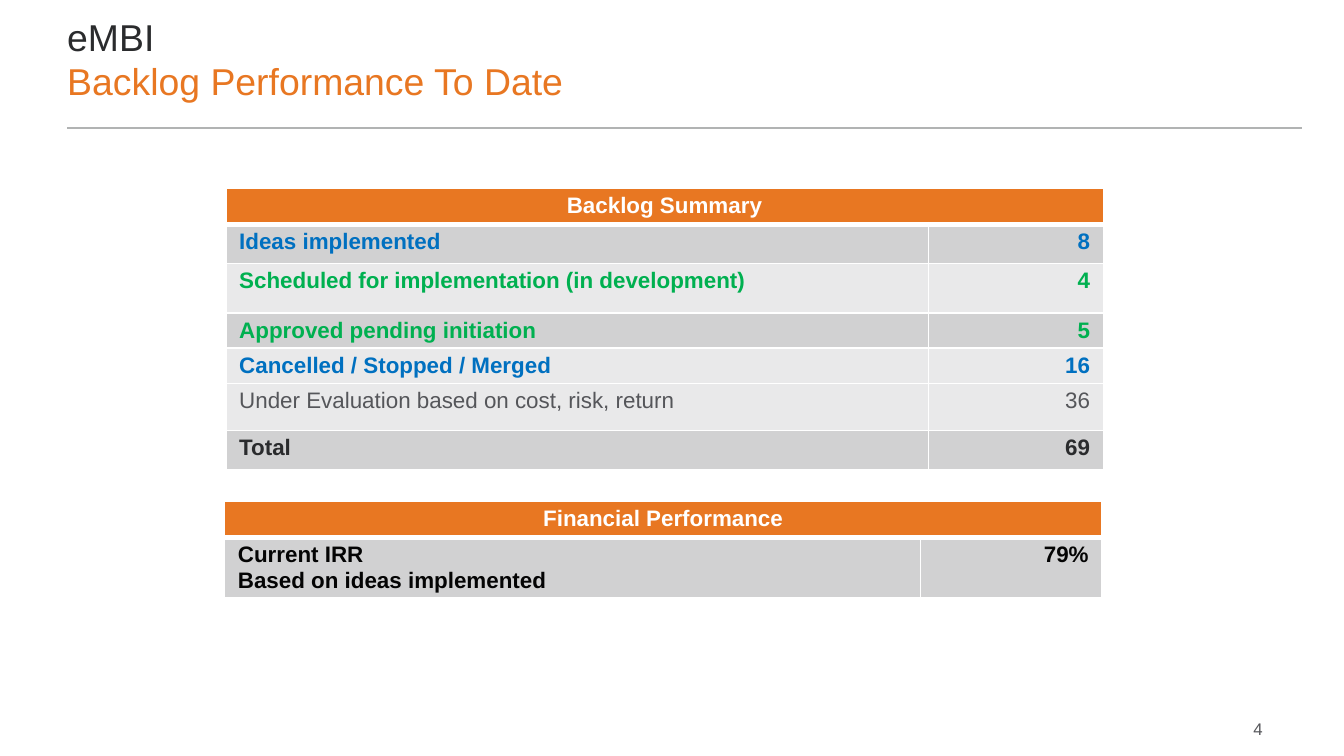
import lxml.etree
import pptx
import pptx.dml.color
import pptx.enum.shapes
import pptx.enum.text
import pptx.oxml.ns
import pptx.util

Inches = pptx.util.Inches
Align = pptx.enum.text.PP_ALIGN
Anchor = pptx.enum.text.MSO_ANCHOR

THEME = {
    "font": "Arial",
    "sizes": {"title": 20, "table": 12, "number": 9},
    "colors": {
        "white": "FFFFFF", "orange": "E87722", "dark": "2A2B2D", "gray": "55565A",
        "rule": "B1B3B3", "blue": "0070C0", "green": "00B050", "black": "040404",
        "band": "D1D1D2", "light": "E9E9EA",
    },
}

SLIDE_WIDTH = Inches(10)
SLIDE_HEIGHT = SLIDE_WIDTH * 9 // 16

TITLE_LINES = [("eMBI", "dark"), ("Backlog Performance To Date", "orange")]
PAGE_NUMBER = "4"

TABLES = [
    {
        "header": "Backlog Summary",
        "box": (1.68, 1.4, 6.53, 2.12),
        "value_width": 1.3,
        "heights": [0.27, 0.29, 0.37, 0.24, 0.24, 0.35, 0.29],
        "rows": [
            ("Ideas implemented", "8", "blue", True, "band"),
            ("Scheduled for implementation (in development)", "4", "green", True, "light"),
            ("Approved pending initiation", "5", "green", True, "band"),
            ("Cancelled / Stopped / Merged", "16", "blue", True, "light"),
            ("Under Evaluation based on cost, risk, return", "36", "gray", False, "light"),
            ("Total", "69", "dark", True, "band"),
        ],
    },
    {
        "header": "Financial Performance",
        "box": (1.67, 3.73, 6.53, 0.75),
        "value_width": 1.35,
        "heights": [0.27, 0.29],
        "rows": [("Current IRR\nBased on ideas implemented", "79%", "black", True, "band")],
    },
]


def color(name):
    return pptx.dml.color.RGBColor.from_string(THEME["colors"][name])


def set_values(target, values):
    for name, value in values.items():
        setattr(target, name, value)


def format_font(font, size, color_name, bold=False):
    set_values(font, {"name": THEME["font"], "bold": bold,
                      "size": pptx.util.Pt(THEME["sizes"][size])})
    font.color.rgb = color(color_name)


def set_margins(target, horizontal, vertical):
    set_values(target, {"margin_left": horizontal, "margin_right": horizontal,
                        "margin_top": vertical, "margin_bottom": vertical})


def add_borders(cell, widths):
    properties = cell._tc.get_or_add_tcPr()
    for tag, width in widths.items():
        line = lxml.etree.SubElement(properties, pptx.oxml.ns.qn(f"a:{tag}"),
                                     w=str(pptx.util.Pt(width)))
        fill = lxml.etree.SubElement(line, pptx.oxml.ns.qn("a:solidFill"))
        lxml.etree.SubElement(fill, pptx.oxml.ns.qn("a:srgbClr"), val=THEME["colors"]["white"])


def fill_cell(cell, row, text, alignment, color_name, bold, fill):
    add_borders(cell, {"lnL": 1, "lnR": 1, "lnT": 3 if row == 1 else 1,
                       "lnB": 3 if row == 0 else 1})
    cell.fill.solid()
    cell.fill.fore_color.rgb = color(fill)
    set_margins(cell, Inches(0.1), pptx.util.Pt(2.7))
    cell.text = text
    for paragraph in cell.text_frame.paragraphs:
        paragraph.alignment = alignment
        for run in paragraph.runs:
            format_font(run.font, "table", color_name, bold)


def add_summary_table(slide, data):
    table = slide.shapes.add_table(len(data["heights"]), 2, *map(Inches, data["box"])).table
    table.columns[0].width = Inches(data["box"][2] - data["value_width"])
    table.columns[1].width = Inches(data["value_width"])
    for row, height in zip(table.rows, data["heights"]):
        row.height = Inches(height)
    table.cell(0, 0).merge(table.cell(0, 1))
    for column, text in enumerate((data["header"], "")):
        fill_cell(table.cell(0, column), 0, text, Align.CENTER, "white", True, "orange")
    for row, (label, value, *style) in enumerate(data["rows"], 1):
        fill_cell(table.cell(row, 0), row, label, Align.LEFT, *style)
        fill_cell(table.cell(row, 1), row, value, Align.RIGHT, *style)


def add_title(slide):
    title = slide.shapes.title
    set_values(title, dict(zip(("left", "top", "width", "height"),
                               map(Inches, (0.5, 0.07, 7.25, 0.73)))))
    frame = title.text_frame
    set_values(frame, {"word_wrap": True, "auto_size": pptx.enum.text.MSO_AUTO_SIZE.NONE,
                       "vertical_anchor": Anchor.MIDDLE})
    set_margins(frame, 0, 0)
    paragraph = frame.paragraphs[0]
    paragraph.alignment = Align.LEFT
    for index, (text, color_name) in enumerate(TITLE_LINES):
        if index:
            paragraph.add_line_break()
        run = paragraph.add_run()
        run.text = text
        format_font(run.font, "title", color_name)


def add_title_rule(slide):
    rule = slide.shapes.add_connector(pptx.enum.shapes.MSO_CONNECTOR.STRAIGHT,
                                      *map(Inches, (0.5, 0.95, 9.69, 0.95)))
    rule.line.color.rgb = color("rule")
    rule.line.width = pptx.util.Pt(1)
    lxml.etree.SubElement(rule._element.spPr, pptx.oxml.ns.qn("a:effectLst"))


def add_page_number(slide):
    shape = slide.shapes.add_shape(pptx.enum.shapes.MSO_SHAPE.RECTANGLE,
                                   *map(Inches, (9.19, 5.35, 0.34, 0.19)))
    shape.shadow.inherit = False
    shape.fill.solid()
    shape.fill.fore_color.rgb = color("white")
    shape.line.fill.background()
    set_margins(shape.text_frame, 0, 0)
    shape.text_frame.vertical_anchor = Anchor.TOP
    paragraph = shape.text_frame.paragraphs[0]
    paragraph.alignment = Align.CENTER
    run = paragraph.add_run()
    run.text = PAGE_NUMBER
    format_font(run.font, "number", "gray")


def main():
    presentation = pptx.Presentation()
    set_values(presentation, {"slide_width": SLIDE_WIDTH, "slide_height": SLIDE_HEIGHT})
    slide = presentation.slides.add_slide(presentation.slide_layouts[5])
    add_title_rule(slide)
    add_title(slide)
    add_page_number(slide)
    for data in TABLES:
        add_summary_table(slide, data)
    presentation.save("out.pptx")


if __name__ == "__main__":
    main()
